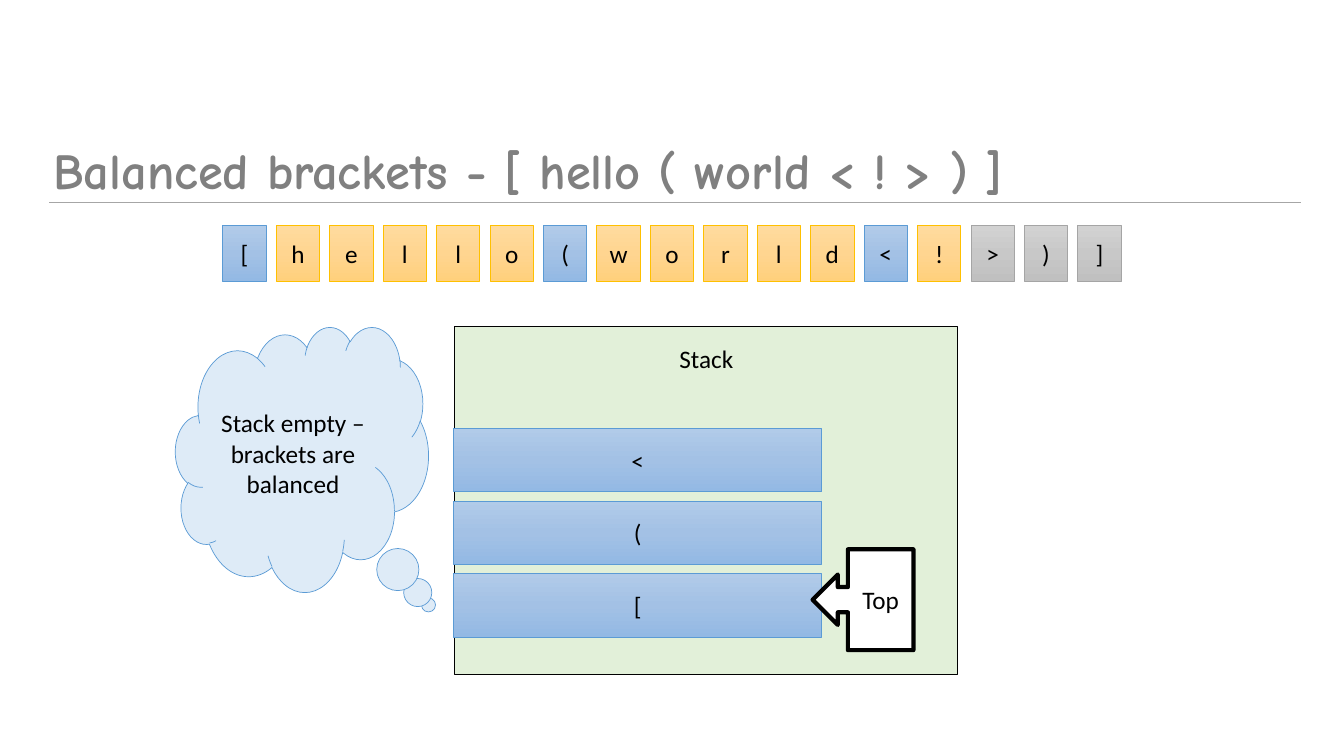
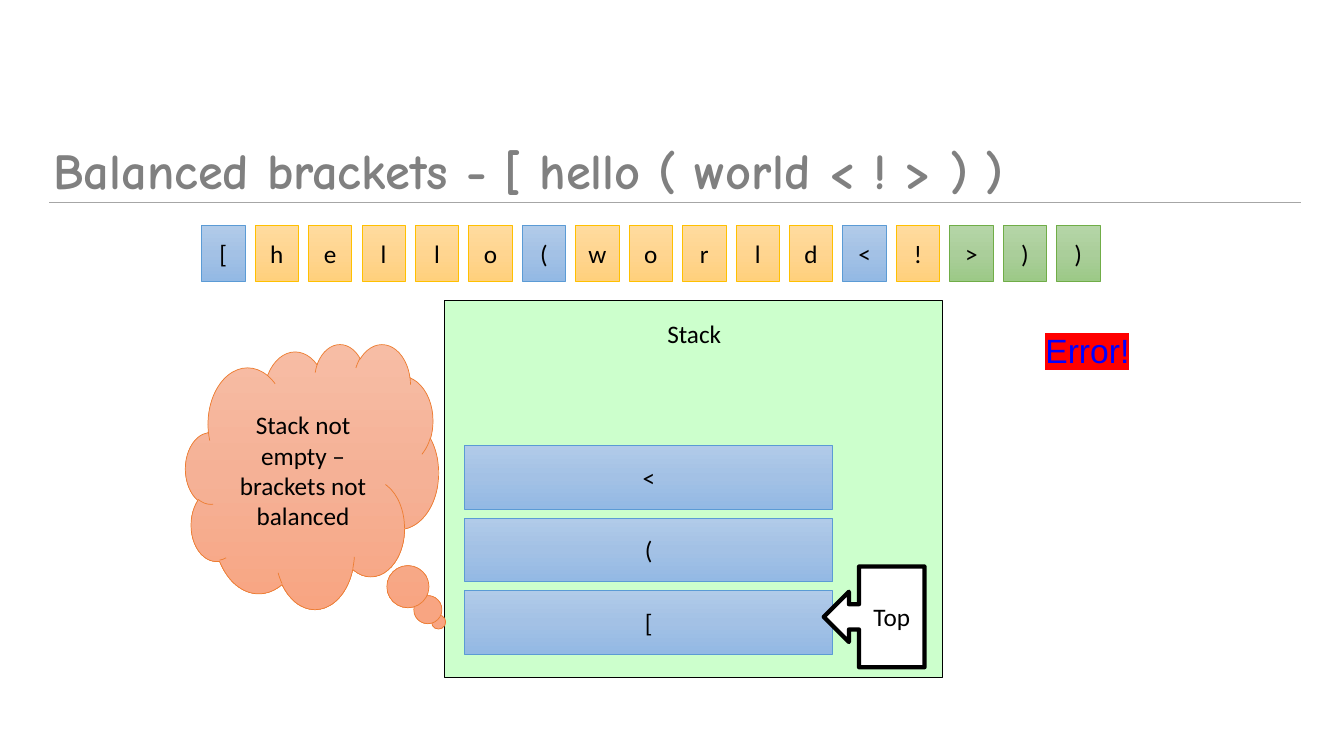
from copy import deepcopy
from dataclasses import dataclass

from pptx import Presentation, util as u
from pptx.dml.color import RGBColor
from pptx.enum import shapes as kinds, text as t
from pptx.oxml import ns, xmlchemy as xml


@dataclass(frozen=True)
class Theme:
    body_font: str = "Calibri"
    title_font: str = "Comic Neue"
    error_font: str = "Arial"
    body_size: int = 18
    error_size: int = 24
    title_size: int = 36
    ink: str = "000000"
    paper: str = "FFFFFF"
    title: str = "808080"
    rule: str = "A6A6A6"
    error: str = "0000FF"
    error_back: str = "FF0000"
    sky: str = "DEEBF7"
    sage: str = "E2F0D9"
    mint: str = "CCFFCC"
    blue_line: str = "5B9BD5"
    orange_line: str = "ED7D31"
    blue: tuple = ("B1CBE9", "A3C1E5", "93B9E4")
    amber: tuple = ("FFDB9E", "FFD590", "FFD07C")
    grey: tuple = ("D2D2D2", "C8C8C8", "C0C0C0")
    green: tuple = ("B5D5A7", "AACE9A", "9CC987")
    salmon: tuple = ("F7BDA5", "F5B196", "F8A582")


THEME = Theme()
OPENING = "[(<"
CLOSING = "])>"
OPEN_STYLE = (THEME.blue, THEME.blue_line)
LETTER_STYLE = (THEME.amber, "FFC000")
PENDING_STYLE = (THEME.grey, "A5A5A5")
MATCHED_STYLE = (THEME.green, "70AD47")
BODY = {"size": u.Pt(THEME.body_size), "name": THEME.body_font}
TITLE = {"size": u.Pt(THEME.title_size), "name": THEME.title_font, "bold": True}
ERROR = {"size": u.Pt(THEME.error_size), "name": THEME.error_font}
CENTRED = {"vertical_anchor": t.MSO_ANCHOR.MIDDLE}
TILE_PITCH = 0.53
ENTRY_PITCH = 0.72


def apply(target, values):
    for name, value in values.items():
        setattr(target, name, value)


def inches(*lengths):
    return [u.Inches(length) for length in lengths]


def write(holder, words, font=BODY, colour=THEME.ink, align=None, wrap=True, frame=None):
    apply(holder.text_frame, {"word_wrap": wrap, **(frame or {})})
    paragraph = holder.text_frame.paragraphs[0]
    paragraph.alignment = align
    run = paragraph.add_run()
    run.text = words
    apply(run.font, font)
    run.font.color.rgb = RGBColor.from_string(colour)
    return paragraph, run


def paint(shape, fill):
    if isinstance(fill, str):
        shape.fill.solid()
        shape.fill.fore_color.rgb = RGBColor.from_string(fill)
        return
    shape.fill.gradient()
    shape.fill.gradient_angle = 270
    stops = shape.element.spPr.find(".//" + ns.qn("a:gsLst"))
    stops.insert(1, deepcopy(stops[0]))
    for index, (stop, colour) in enumerate(zip(shape.fill.gradient_stops, fill)):
        stop.position = index / 2
        stop.color.rgb = RGBColor.from_string(colour)


def add_figure(parent, preset, box, style, words="", width=0.5, wrap=True, adjust=()):
    fill, line = style
    shape = parent.add_shape(preset, *inches(*box))
    shape.shadow.inherit = False
    paint(shape, fill)
    shape.line.color.rgb = RGBColor.from_string(line)
    shape.line.width = u.Pt(width)
    for index, value in enumerate(adjust):
        shape.adjustments[index] = value
    if words:
        write(shape, words, align=t.PP_ALIGN.CENTER, wrap=wrap, frame=CENTRED)


def add_label(parent, box, words, **options):
    return write(parent.add_textbox(*inches(*box)), words, **options)


def add_heading(slide, expression):
    paragraph, run = add_label(slide.shapes, (0.43, 1.4, 12.64, 0.72),
                               "Balanced brackets - " + expression,
                               font=TITLE, colour=THEME.title)
    paragraph.line_spacing = 0.9
    run.font.element.set("spc", "-10") if hasattr(run.font, "element") else None
    rule = slide.shapes.add_connector(kinds.MSO_CONNECTOR.STRAIGHT,
                                      *inches(0.49, 2.01, 12.9, 2.01))
    rule.line.color.rgb = RGBColor.from_string(THEME.rule)
    rule.line.width = u.Pt(1.25)
    rule.element.spPr.append(xml.OxmlElement("a:effectLst"))


def add_tiles(slide, expression, left, closing_style):
    for index, symbol in enumerate(expression.replace(" ", "")):
        style = LETTER_STYLE
        if symbol in OPENING:
            style = OPEN_STYLE
        elif symbol in CLOSING:
            style = closing_style
        add_figure(slide.shapes, kinds.MSO_SHAPE.RECTANGLE,
                   (left + index * TILE_PITCH, 2.24, 0.43, 0.55), style, symbol)


def add_stack(slide, panel, label, fill, left, bottom):
    group = slide.shapes.add_group_shape().shapes
    add_figure(group, kinds.MSO_SHAPE.RECTANGLE, panel, (fill, THEME.ink), width=0.75)
    add_label(group, label, "Stack", wrap=False)
    for level, bracket in enumerate(OPENING):
        add_figure(slide.shapes, kinds.MSO_SHAPE.RECTANGLE,
                   (left, bottom - level * ENTRY_PITCH, 3.65, 0.63),
                   OPEN_STYLE, bracket, wrap=False)
    add_figure(slide.shapes, kinds.MSO_SHAPE.LEFT_ARROW_CALLOUT,
               (left + 3.56, bottom - 0.24, 1, 1), (THEME.paper, THEME.ink), "Top",
               width=3, wrap=False, adjust=(0.25, 0.25, 0.25, 0.65))


def add_verdict(slide, left, top, style, words):
    add_figure(slide.shapes, kinds.MSO_SHAPE.CLOUD_CALLOUT, (left, top, 2.51, 2.63),
               style, words, adjust=(0.5, 0.55))


def add_error(slide):
    _, run = add_label(slide.shapes, (10.27, 3.22, 1.5, 0.5), "Error!",
                       font=ERROR, colour=THEME.error)
    properties = run.font.fill and run._r.get_or_add_rPr()
    highlight = xml.OxmlElement("a:highlight")
    shade = xml.OxmlElement("a:srgbClr")
    shade.set("val", THEME.error_back)
    highlight.append(shade)
    properties.find(ns.qn("a:solidFill")).addnext(highlight)


def add_example(deck, expression, tiles, stack, verdict):
    slide = deck.slides.add_slide(deck.slide_layouts[6])
    add_heading(slide, expression)
    add_stack(slide, **stack)
    add_tiles(slide, expression, *tiles)
    add_verdict(slide, *verdict)
    return slide


def main():
    deck = Presentation()
    apply(deck, {"slide_width": u.Inches(13.33), "slide_height": u.Inches(7.5)})
    add_example(
        deck, "[ hello ( world < ! > ) ]", (2.21, PENDING_STYLE),
        {"panel": (4.51, 3.24, 4.99, 3.45), "label": (6.64, 3.36, 0.75, 0.37),
         "fill": THEME.sage, "left": 4.5, "bottom": 5.69},
        (1.74, 3.24, (THEME.sky, THEME.blue_line),
         "Stack empty – brackets are balanced"))
    unbalanced = add_example(
        deck, "[ hello ( world < ! > ) )", (2, MATCHED_STYLE),
        {"panel": (4.41, 2.98, 4.94, 3.74), "label": (6.52, 3.11, 0.74, 0.4),
         "fill": THEME.mint, "left": 4.61, "bottom": 5.86},
        (1.84, 3.41, (THEME.salmon, THEME.orange_line),
         "Stack not empty – brackets not balanced"))
    add_error(unbalanced)
    deck.save("out.pptx")


main()
